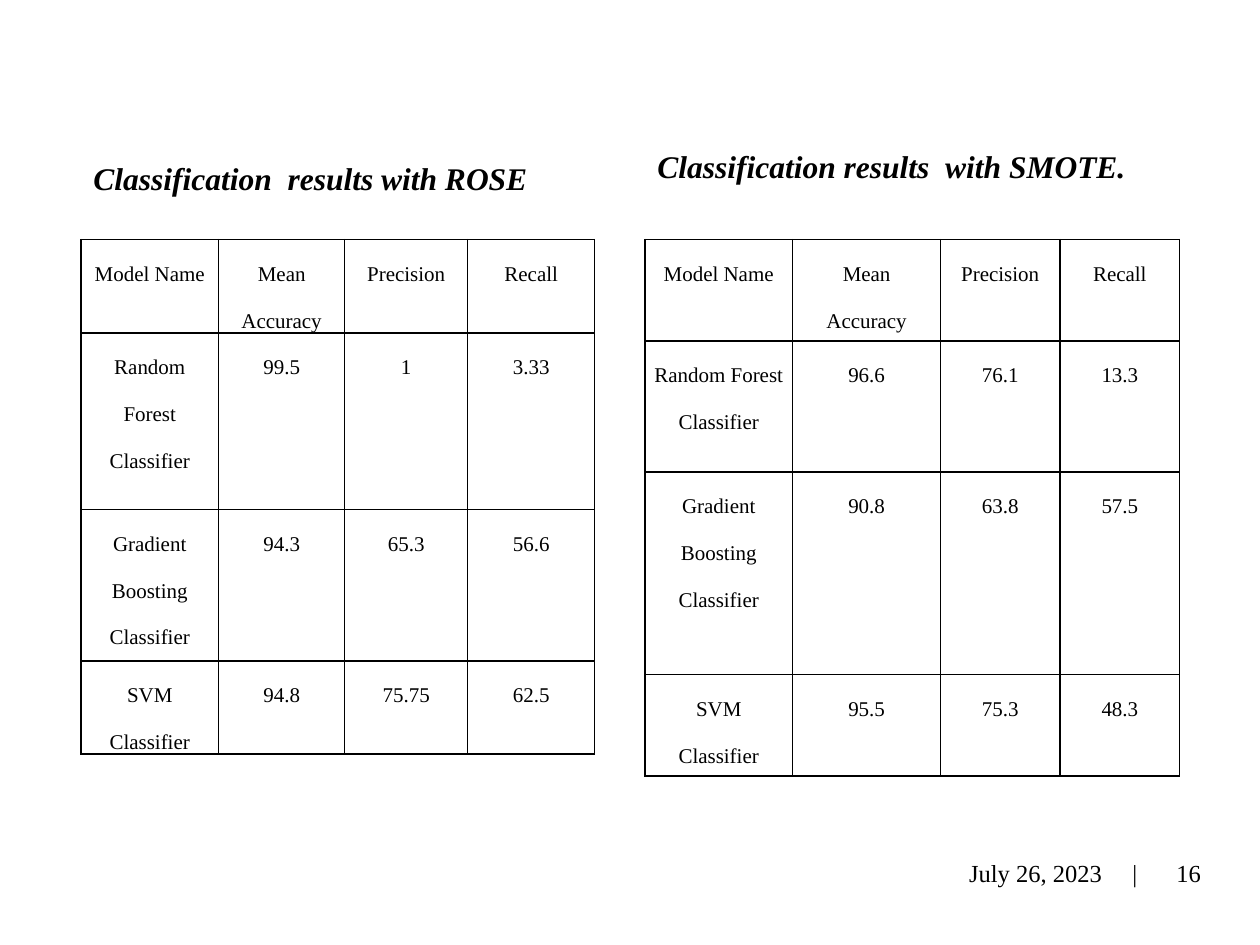
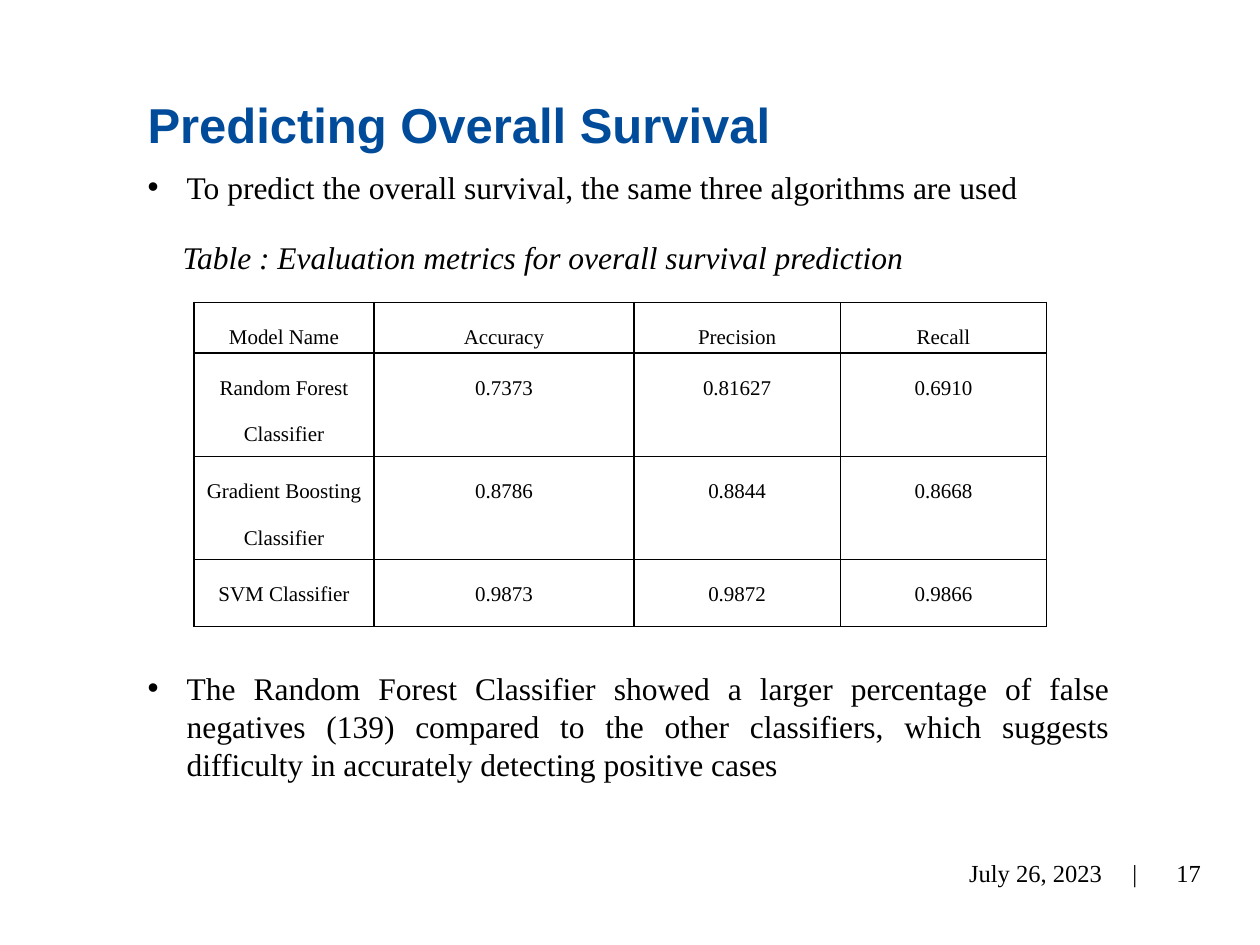
from lxml.etree import SubElement
from pptx import Presentation
from pptx.dml.color import RGBColor as Rgb
from pptx.enum.text import MSO_ANCHOR as Anchor, MSO_AUTO_SIZE as Fit, PP_ALIGN as Align
from pptx.oxml import parse_xml
from pptx.oxml.ns import nsdecls, qn
from pptx.util import Cm, Pt

COLORS = {"ink": "000000", "title": "004C9B"}
SERIF, SANS = "Times New Roman", "Arial"
DATE = "July 26, 2023"
HANG = Cm(0.79)
MODELS = ["Random Forest Classifier", "Gradient Boosting Classifier", "SVM Classifier"]


def style(frame, size, font=SERIF, color="ink", bold=False, italic=False,
          align=Align.LEFT, spacing=None):
    for para in frame.paragraphs:
        para.alignment = align
        para.space_before = Pt(0)
        if spacing:
            para.line_spacing = spacing
        for run in para.runs:
            face = run.font
            face.name, face.size = font, Pt(size)
            face.bold, face.italic = bold, italic
            face.color.rgb = Rgb.from_string(COLORS[color])


def place(shape, box):
    shape.left, shape.top, shape.width, shape.height = (Cm(n) for n in box)


def fill(holder, box, text, size=18, **look):
    """Move a placeholder to the box and give it styled text."""
    place(holder, box)
    frame = holder.text_frame
    frame.text = text
    frame.word_wrap = True
    frame.auto_size = Fit.NONE
    frame.vertical_anchor = Anchor.TOP
    style(frame, size, **look)


def fill_list(holder, box, text, **look):
    fill(holder, box, text, **look)
    for para in holder.text_frame.paragraphs:
        props = para._p.get_or_add_pPr()
        props.set("marL", str(HANG))
        props.set("indent", str(-HANG))


def add_label(slide, box, text, size, **look):
    label = slide.shapes.add_textbox(*(Cm(n) for n in box))
    frame = label.text_frame
    frame.text = text
    frame.word_wrap = True
    frame.vertical_anchor = Anchor.MIDDLE
    style(frame, size, **look)
    return label


def add_footer(slide, number, left=16.79, top=17.09):
    date = add_label(slide, (left, top, 6.4, 1.02), f"\t{DATE}\t|", 14)
    props = date.text_frame.paragraphs[0]._p.get_or_add_pPr()
    tabs = SubElement(props, qn("a:tabLst"))
    for stop, side in ((5.18, "r"), (5.79, "l")):
        SubElement(tabs, qn("a:tab"), pos=str(Cm(stop)), algn=side)
    add_label(slide, (left + 5.84, top, 1.83, 1.02), str(number), 14, align=Align.RIGHT)


def add_borders(cell):
    props = cell._tc.get_or_add_tcPr()
    for spot, side in enumerate("LRTB"):
        props.insert(spot, parse_xml(
            f'<a:ln{side} {nsdecls("a")} w="{Pt(1)}"><a:solidFill>'
            f'<a:srgbClr val="{COLORS["ink"]}"/></a:solidFill></a:ln{side}>'))


def add_grid(slide, left, top, widths, heights, score, values):
    """Draw the models' scores; score names the first value column."""
    rows = [["Model Name", score, "Precision", "Recall"]]
    rows += [[model, *line] for model, line in zip(MODELS, values)]
    table = slide.shapes.add_table(
        len(rows), len(widths), Cm(left), Cm(top), Cm(sum(widths)), Cm(sum(heights))).table
    table.first_row = table.horz_banding = False
    for col, width in zip(table.columns, widths):
        col.width = Cm(width)
    for row, height, texts in zip(table.rows, heights, rows):
        row.height = Cm(height)
        for cell, text in zip(row.cells, texts):
            cell.text = text
            cell.margin_left = cell.margin_right = Cm(0.18)
            cell.margin_top = cell.margin_bottom = 0
            cell.fill.background()
            add_borders(cell)
            style(cell.text_frame, 12, align=Align.CENTER, spacing=2.0)


def drop_empty(slide):
    for holder in list(slide.placeholders):
        if not holder.text_frame.text:
            holder._element.getparent().remove(holder._element)


def build_compare(deck, number):
    slide = deck.slides.add_slide(deck.slide_layouts[4])
    first, second = slide.placeholders[1], slide.placeholders[3]
    left, right, top = 1.63, 13, 4.83
    fill(first, (left, 2.31, 10.36, 1.55), "Classification  results with ROSE",
         bold=True, italic=True, spacing=2.0)
    fill(second, (right, 2.84, 10.77, 1.02), "Classification results  with SMOTE.",
         bold=True, italic=True)
    drop_empty(slide)
    add_grid(slide, left, top, [2.78, 2.54, 2.48, 2.56], [1.88, 3.56, 3.05, 1.88],
             "Mean Accuracy", [["99.5", "1", "3.33"],
                               ["94.3", "65.3", "56.6"],
                               ["94.8", "75.75", "62.5"]])
    add_grid(slide, right, top, [2.98, 2.98, 2.41, 2.41], [2.04, 2.64, 4.09, 2.04],
             "Mean Accuracy", [["96.6", "76.1", "13.3"],
                               ["90.8", "63.8", "57.5"],
                               ["95.5", "75.3", "48.3"]])
    add_footer(slide, number)


def build_predict(deck, number):
    slide = deck.slides.add_slide(deck.slide_layouts[3])
    title, intro, finding = slide.placeholders
    left = 2.72
    fill(title, (left, 1.78, 16.61, 1.45), "Predicting Overall Survival",
         size=28, font=SANS, color="title", bold=True)
    fill_list(intro, (left, 3.25, 21.36, 1.02),
              "To predict the overall survival, the same three algorithms are used")
    fill_list(finding, (left, 13.36, 19.91, 2.57),
              "The Random Forest Classifier showed a larger percentage of false negatives "
              "(139) compared to the other classifiers, which suggests difficulty in "
              "accurately detecting positive cases", align=Align.JUSTIFY)
    add_label(slide, (3.43, 4.67, 15.3, 1.02),
              "Table : Evaluation metrics for overall survival prediction", 18, italic=True)
    add_grid(slide, 3.91, 6.1, [3.63, 5.24, 4.16, 4.16], [1.02, 2.08, 2.08, 1.35],
             "Accuracy", [["0.7373", "0.81627", "0.6910"],
                          ["0.8786", "0.8844", "0.8668"],
                          ["0.9873", "0.9872", "0.9866"]])
    add_footer(slide, number)


def main():
    deck = Presentation()
    deck.slide_width, deck.slide_height = Cm(25.4), Cm(19.05)
    for number, build in enumerate((build_compare, build_predict), 16):
        build(deck, number)
    deck.save("out.pptx")


if __name__ == "__main__":
    main()
